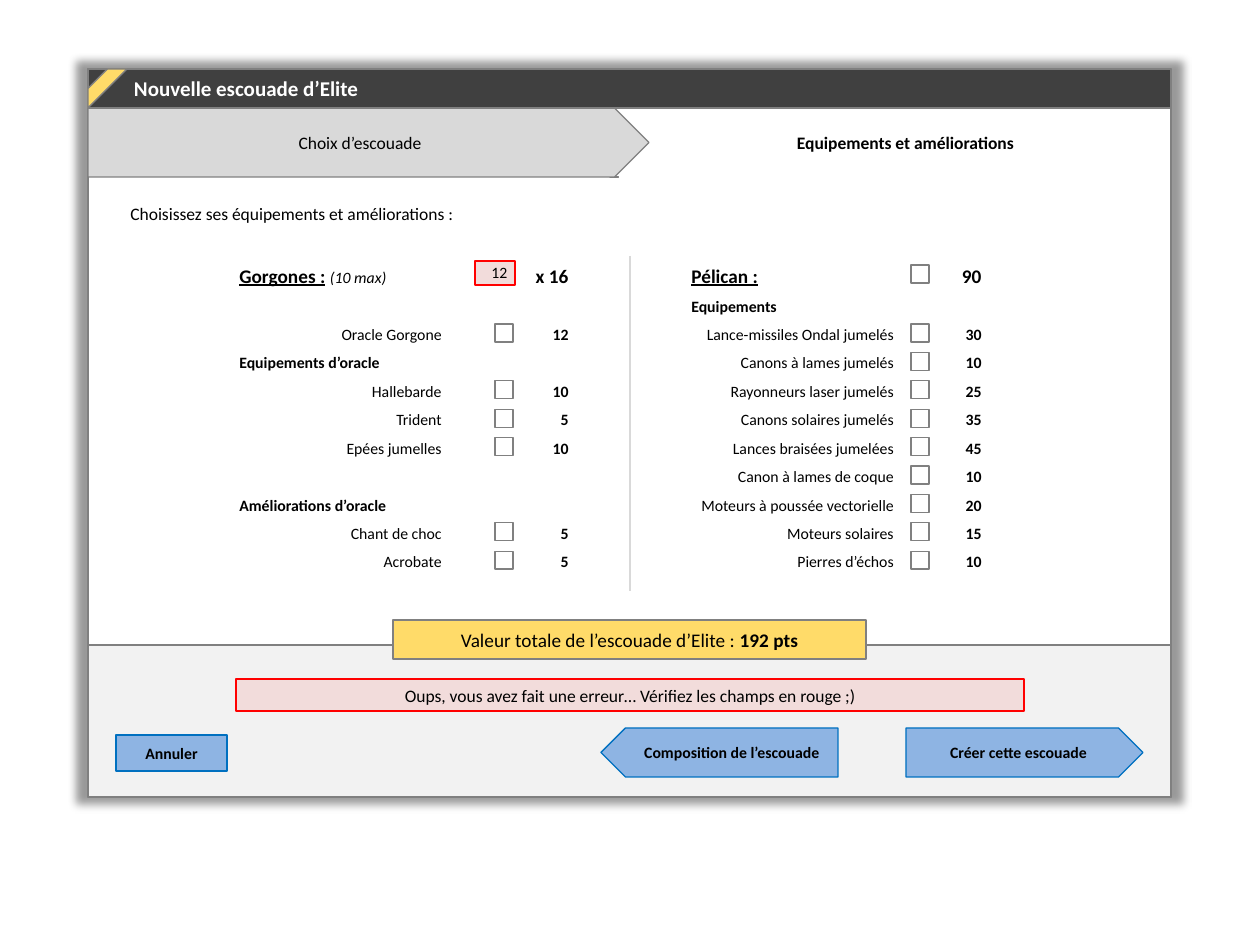
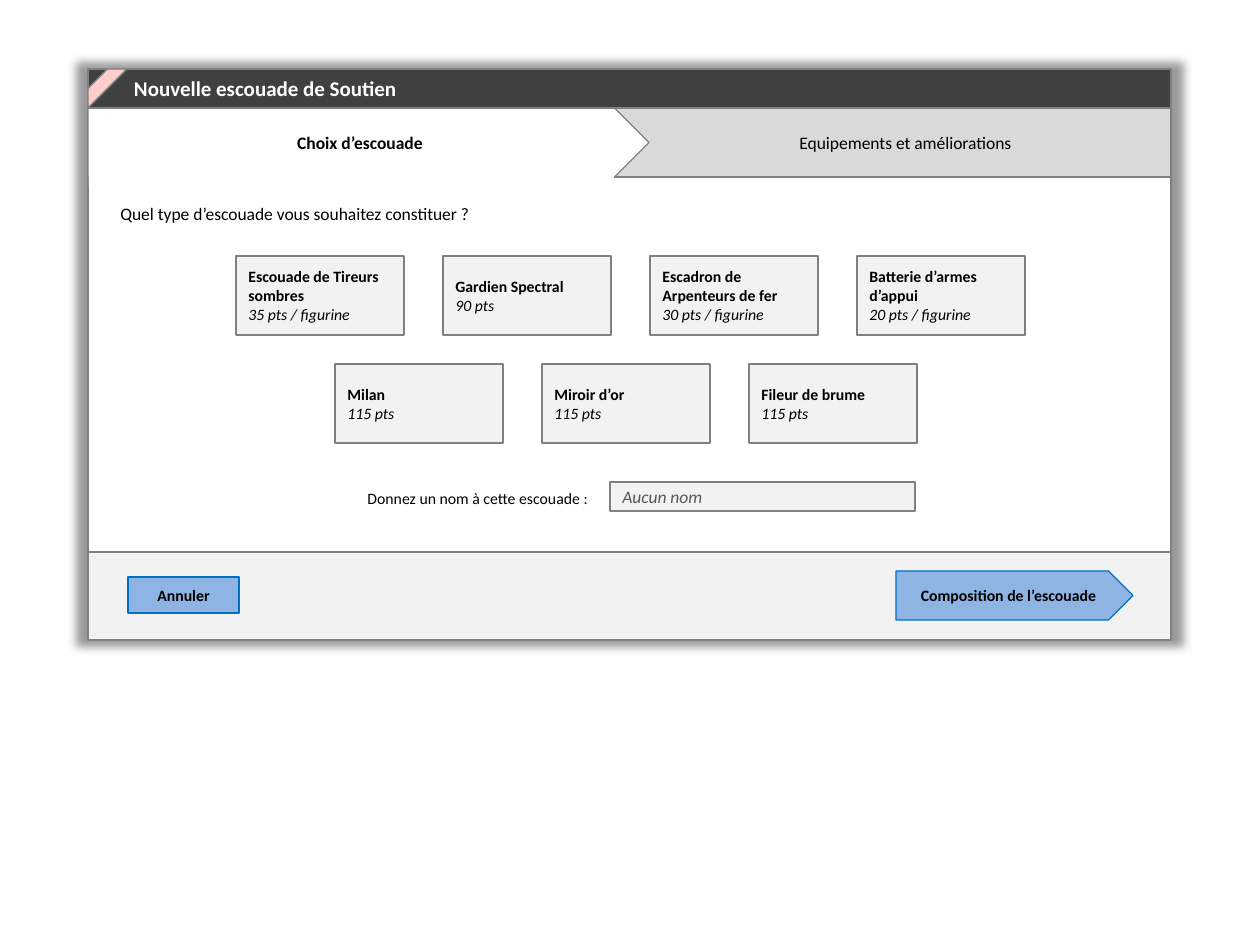
from lxml.etree import SubElement
from pptx import Presentation
from pptx.dml.color import RGBColor
from pptx.enum.shapes import MSO_CONNECTOR, MSO_SHAPE
from pptx.enum.text import MSO_ANCHOR, MSO_AUTO_SIZE, PP_ALIGN
from pptx.oxml.ns import qn
from pptx.util import Emu, Pt

PIXEL = 914400 / 126
FONT = "Calibri"
COLORS = {
    "black": "000000", "white": "FFFFFF", "bar": "404040", "outline": "808080",
    "tab": "D9D9D9", "panel": "F2F2F2", "hint": "595959", "button": "8EB4E3",
    "button line": "0070C0", "elite": "FFDB69", "support": "FFCCCC",
    "error": "F2DCDB", "error line": "FF0000",
}
LEFT, CENTER, RIGHT = PP_ALIGN.LEFT, PP_ALIGN.CENTER, PP_ALIGN.RIGHT


def add_box(slide, kind, left, top, width, height, fill="white", line="outline", weight=0.75):
    area = [Emu(round(length * PIXEL)) for length in (left, top, width, height)]
    if kind == "text":
        shape = slide.shapes.add_textbox(*area)
    else:
        if kind == "title":
            shape = slide.shapes.title
            shape.left, shape.top, shape.width, shape.height = area
            slide.shapes.element.append(shape.element)
        else:
            shape = slide.shapes.add_shape(kind, *area)
            shape.shadow.inherit = False
        shape.fill.solid()
        shape.fill.fore_color.rgb = RGBColor.from_string(COLORS[fill])
        if line:
            shape.line.color.rgb = RGBColor.from_string(COLORS[line])
            shape.line.width = Pt(weight)
        else:
            shape.line.fill.background()
        shape.text_frame.vertical_anchor = MSO_ANCHOR.MIDDLE
    shape.text_frame.word_wrap = True
    shape.text_frame.auto_size = MSO_AUTO_SIZE.NONE
    return shape


def write(shape, text, size=9, bold=False, italic=False, underline=False, color="black",
          align=LEFT, spacing=1, before=0, joined=False, indent=None):
    frame = shape.text_frame
    paragraph = frame.paragraphs[-1]
    if paragraph.runs and not joined:
        paragraph = frame.add_paragraph()
    if not joined:
        paragraph.alignment = align
        paragraph.line_spacing = spacing
        paragraph.space_before = Pt(before)
    if indent:
        frame.margin_left = Emu(round(indent * PIXEL))
    run = paragraph.add_run()
    run.text = text
    run.font.name = FONT
    run.font.size = Pt(size)
    run.font.bold, run.font.italic, run.font.underline = bold, italic, underline
    run.font.color.rgb = RGBColor.from_string(COLORS[color])


presentation = Presentation()
presentation.slide_width = Emu(round(1260 * PIXEL))
presentation.slide_height = Emu(round(945 * PIXEL))

screens = [
    {"title": "Nouvelle escouade d’Elite", "accent": "elite", "height": 728, "footer": 152,
     "active": 1, "cover": (619, 551), "cancel": (116, 735),
     "prompt": (118, "Choisissez ses équipements et améliorations :")},
    {"title": "Nouvelle escouade de Soutien", "accent": "support", "height": 571, "footer": 88,
     "active": 0, "cover": (89, 525), "cancel": (128, 577),
     "prompt": (108, "Quel type d’escouade vous souhaitez constituer ?")},
]
tabs = [
    (1, MSO_SHAPE.RECTANGLE, 610, "Equipements et améliorations", 42),
    (0, MSO_SHAPE.PENTAGON, 88, "Choix d’escouade", None),
]
slides = []
for screen in screens:
    slide = presentation.slides.add_slide(presentation.slide_layouts[5])
    slides.append(slide)
    window = add_box(slide, MSO_SHAPE.RECTANGLE, 88, 69, 1083, screen["height"])
    effects = window.element.spPr.find(qn("a:effectLst"))
    shadow = SubElement(effects, qn("a:outerShdw"), blurRad=str(Pt(5)), dist="0", dir="0",
                        sx="102000", sy="102000", algn="ctr", rotWithShape="0")
    shade = SubElement(shadow, qn("a:srgbClr"), val=COLORS["black"])
    SubElement(shade, qn("a:alpha"), val="40000")
    add_box(slide, MSO_SHAPE.RECTANGLE, 88, 69 + screen["height"] - screen["footer"],
            1083, screen["footer"], "panel")
    for number, kind, left, label, indent in tabs:
        active = number == screen["active"]
        tab = add_box(slide, kind, left, 108, 561, 69, "white" if active else "tab")
        write(tab, label, size=10, bold=active, align=CENTER, indent=indent)
    cover_left, cover_width = screen["cover"]
    add_box(slide, MSO_SHAPE.RECTANGLE, cover_left, 176, cover_width, 11, line=None)
    title = add_box(slide, "title", 88, 69, 1083, 39, "bar")
    write(title, screen["title"], size=12, bold=True, color="white", indent=46)
    add_box(slide, MSO_SHAPE.DIAGONAL_STRIPE, 88, 69, 39, 39, screen["accent"])
    prompt_left, prompt = screen["prompt"]
    write(add_box(slide, "text", prompt_left, 197, 896, 34), prompt, size=10)
    cancel = add_box(slide, MSO_SHAPE.RECTANGLE, *screen["cancel"], 111, 36, "button", "button line")
    write(cancel, "Annuler", bold=True, align=CENTER)

elite, support = slides
buttons = [
    (elite, MSO_SHAPE.LEFT_ARROW, 601, 728, "Composition de l’escouade"),
    (elite, MSO_SHAPE.PENTAGON, 906, 728, "Créer cette escouade"),
    (support, MSO_SHAPE.PENTAGON, 896, 571, "Composition de l’escouade"),
]
for slide, kind, left, top, label in buttons:
    button = add_box(slide, kind, left, top, 237, 49, "button", "button line")
    if kind == MSO_SHAPE.LEFT_ARROW:
        button.adjustments[0] = 1
    write(button, label, bold=True, align=CENTER)

divider = elite.shapes.add_connector(
    MSO_CONNECTOR.STRAIGHT, *[Emu(round(length * PIXEL)) for length in (630, 256, 630, 591)])
divider.line.color.rgb = RGBColor.from_string(COLORS["tab"])
divider.line.width = Pt(0.75)
SubElement(divider.element.spPr, qn("a:effectLst"))

count = add_box(elite, MSO_SHAPE.RECTANGLE, 475, 261, 40, 24, "error", "error line", 1.5)
write(add_box(elite, "text", 475, 257, 49, 32), "12", align=CENTER)

units = [
    (227, 495, 510, 71, "(10 max)", [
        ("Gorgones :", "x 16"), None, ("Oracle Gorgone", "12"),
        ("Equipements d’oracle", None), ("Hallebarde", "10"), ("Trident", "5"),
        ("Epées jumelles", "10"), None, ("Améliorations d’oracle", None),
        ("Chant de choc", "5"), ("Acrobate", "5")]),
    (679, 911, 931, 63, None, [
        ("Pélican :", "90"), ("Equipements", None), ("Lance-missiles Ondal jumelés", "30"),
        ("Canons à lames jumelés", "10"), ("Rayonneurs laser jumelés", "25"),
        ("Canons solaires jumelés", "35"), ("Lances braisées jumelées", "45"),
        ("Canon à lames de coque", "10"), ("Moteurs à poussée vectorielle", "20"),
        ("Moteurs solaires", "15"), ("Pierres d’échos", "10")]),
]
ROW_POINTS = 16.25
for name_left, check_left, price_left, price_width, limit, rows in units:
    names = add_box(elite, "text", name_left, 246, 227, 334)
    prices = add_box(elite, "text", price_left, 246, price_width, 334)
    name_gap = price_gap = 0
    for index, row in enumerate(rows):
        name, price = row or (None, None)
        if name:
            write(names, name, size=9 if index else 11, bold=not (index and price),
                  underline=index == 0, align=RIGHT if index and price else LEFT,
                  spacing=1.5, before=name_gap)
            name_gap = 0
        else:
            name_gap += ROW_POINTS
        if limit and index == 0:
            write(names, " ", size=11, joined=True)
            write(names, limit, italic=True, joined=True)
        if price:
            write(prices, price, size=9 if index else 11, bold=True, align=RIGHT,
                  spacing=1.5, before=price_gap)
            price_gap = 0
        else:
            price_gap += ROW_POINTS
        if price and (index or not limit):
            check_top = 324 + 28.4 * (index - 2) if index else 265
            add_box(elite, MSO_SHAPE.RECTANGLE, check_left, check_top, 18, 18)

total = add_box(elite, MSO_SHAPE.RECTANGLE, 393, 620, 473, 39, "elite")
write(total, "Valeur totale de l’escouade d’Elite : ", size=11, align=CENTER)
write(total, "192 pts", size=11, bold=True, joined=True)
alert = add_box(elite, MSO_SHAPE.RECTANGLE, 236, 679, 788, 32, "error", "error line", 1.5)
write(alert, "Oups, vous avez fait une erreur… Vérifiez les champs en rouge ;)", size=10, align=CENTER)

card_rows = [
    (236, 256, [("Escouade de Tireurs sombres", "35 pts / figurine"), ("Gardien Spectral", "90 pts"),
                ("Escadron de Arpenteurs de fer", "30 pts / figurine"),
                ("Batterie d’armes d’appui", "20 pts / figurine")]),
    (335, 364, [("Milan", "115 pts"), ("Miroir d’or", "115 pts"), ("Fileur de brume", "115 pts")]),
]
for left, top, cards in card_rows:
    for column, (name, price) in enumerate(cards):
        card = add_box(support, MSO_SHAPE.RECTANGLE, left + 207 * column, top, 168, 79, "panel")
        write(card, name, bold=True)
        write(card, price, italic=True)

write(add_box(support, "text", 354, 482, 246, 32), "Donnez un nom à cette escouade :", align=RIGHT)
name_field = add_box(support, MSO_SHAPE.RECTANGLE, 610, 482, 305, 29, "panel")
write(name_field, "Aucun nom", size=10, italic=True, color="hint")

presentation.save("out.pptx")
